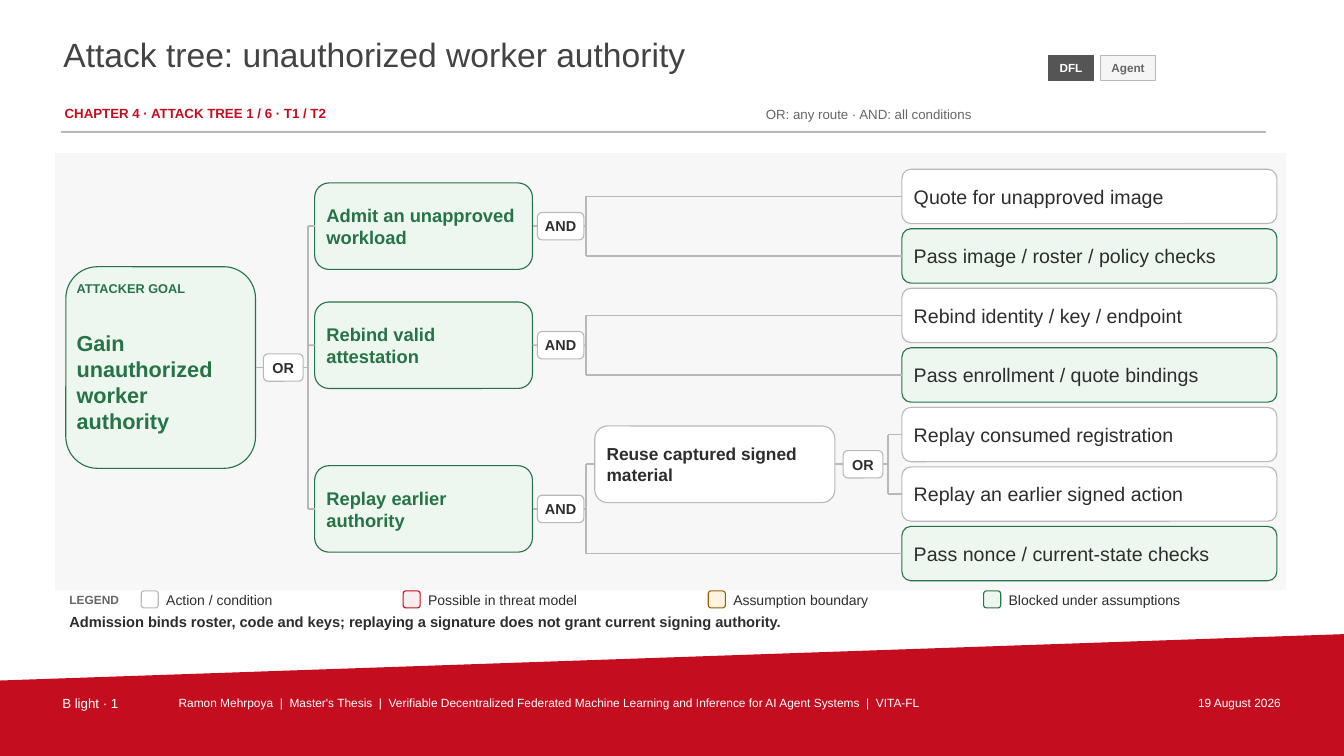
from pptx import Presentation
from pptx import util as u
from pptx.dml.color import RGBColor
from pptx.enum import shapes, text
from pptx.oxml.ns import qn
from lxml import etree

INK = {
    "red": "C40D1E", "title": "434343", "text": "2D2D2D", "mute": "666666",
    "line": "B8B8B8", "white": "FFFFFF", "panel": "F7F7F7", "dark": "555555",
    "tag": "F5F5F5", "green": "267347", "mint": "EDF7EF", "rose": "FBECEF",
    "brown": "94600B", "cream": "FFF4DF",
}
KINDS = {
    "open": ("white", "line"), "risk": ("rose", "red"),
    "bound": ("cream", "brown"), "block": ("mint", "green"),
}
RECT = shapes.MSO_SHAPE.RECTANGLE
ROUND = shapes.MSO_SHAPE.ROUNDED_RECTANGLE
TOP, MID = text.MSO_ANCHOR.TOP, text.MSO_ANCHOR.MIDDLE
LEFT, CENTER, RIGHT = text.PP_ALIGN.LEFT, text.PP_ALIGN.CENTER, text.PP_ALIGN.RIGHT


def hue(name):
    return RGBColor.from_string(INK[name])


def write(shape, words, size, color, bold=False, align=LEFT, anchor=MID, pad=0):
    frame = shape.text_frame
    frame.word_wrap = True
    frame.vertical_anchor = anchor
    frame.margin_left = frame.margin_right = u.Cm(pad)
    frame.margin_top = frame.margin_bottom = 0
    para = frame.paragraphs[0]
    para.text = words
    para.alignment = align
    font = para.font
    font.name, font.size, font.bold = "Arial", u.Pt(size), bold
    font.color.rgb = hue(color)


def label(page, box, words, size, color, **style):
    write(page.shapes.add_textbox(*map(u.Cm, box)), words, size, color, **style)


def block(page, form, box, fill, edge, width=0.8):
    shape = page.shapes.add_shape(form, *map(u.Cm, box))
    shape.shadow.inherit = False
    shape.fill.solid()
    shape.fill.fore_color.rgb = hue(fill)
    shape.line.color.rgb = hue(edge)
    shape.line.width = u.Pt(width)
    return shape


def wire(page, x1, y1, x2, y2, start=None, end=None):
    line = page.shapes.add_connector(
        shapes.MSO_CONNECTOR.STRAIGHT, *map(u.Cm, (x1, y1, x2, y2)))
    if start is not None:
        line.begin_connect(start, 3)
    if end is not None:
        line.end_connect(end, 1)
    line.line.color.rgb = hue("line")
    line.line.width = u.Pt(1.25)
    etree.SubElement(line._element.spPr, qn("a:effectLst"))


def node(page, box, kind, words, size, color, bold):
    x, mid, w, h = box
    shape = block(page, ROUND, (x, mid - h / 2, w, h), *KINDS[kind])
    if words:
        write(shape, words, size, color, bold=bold, pad=0.3 - 0.05 * h)
    return shape, x, mid, x + w


def fork(page, root, gate, bus, kids):
    shape, _, mid, right = root
    wire(page, right, mid, bus, mid, start=shape)
    wire(page, bus, kids[0][2], bus, kids[-1][2])
    for kid, left, level, _ in kids:
        wire(page, bus, level, left, level, end=kid)
    w, h = {"AND": 1.17, "OR": 1}[gate], 0.69
    pill = block(page, ROUND, (bus - 0.63 - w / 2, mid - h / 2, w, h), "white", "line")
    write(pill, gate, 10.3, "text", bold=True, align=CENTER)


def header(page, x, y, w):
    label(page, (x, y, 24.4, 1.4), "Attack tree: unauthorized worker authority",
          24, "title", anchor=TOP)
    label(page, (x + 0.03, y + 1.78, 17.2, 0.46),
          "CHAPTER 4 · ATTACK TREE 1 / 6 · T1 / T2", 9.5, "red", bold=True, anchor=TOP)
    label(page, (x + 17.7, y + 1.73, 9.63, 0.56),
          "OR: any route · AND: all conditions", 9.5, "mute")
    block(page, RECT, (x - 0.05, y + 2.44, w, 0.04), "line", "line", 0.5)
    for left, wide, words, fill, edge, color in (
            (24.82, 1.14, "DFL", "dark", "dark", "white"),
            (26.13, 1.4, "Agent", "tag", "line", "mute")):
        tag = block(page, RECT, (x + left, y + 0.53, wide, 0.64), fill, edge, 0.55)
        write(tag, words, 8.4, color, bold=True, align=CENTER)


def tree(page, x, y, w, h):
    block(page, RECT, (x, y, w, h), "panel", "panel", 0.5)
    step = 1.5
    leaves = [
        node(page, (x + 21.33, y + 1.09 + row * step, 9.45, 1.37),
             kind, words, 14, "text", False)
        for row, (kind, words) in enumerate((
            ("open", "Quote for unapproved image"),
            ("block", "Pass image / roster / policy checks"),
            ("open", "Rebind identity / key / endpoint"),
            ("block", "Pass enrollment / quote bindings"),
            ("open", "Replay consumed registration"),
            ("open", "Replay an earlier signed action"),
            ("block", "Pass nonce / current-state checks")))]

    def middle(kids):
        return (kids[0][2] + kids[-1][2]) / 2

    reuse = node(page, (x + 13.59, middle(leaves[4:6]), 6.05, 1.93), "open",
                 "Reuse captured signed material", 12.4, "text", True)
    fork(page, reuse, "OR", x + 20.98, leaves[4:6])

    routes = []
    for words, kids in (("Admit an unapproved workload", leaves[:2]),
                        ("Rebind valid attestation", leaves[2:4]),
                        ("Replay earlier authority", [reuse, leaves[6]])):
        route = node(page, (x + 6.53, middle(kids), 5.49, 2.18), "block",
                     words, 13.1, "green", True)
        fork(page, route, "AND", x + 13.36, kids)
        routes.append(route)

    mid = middle(routes)
    goal = node(page, (x + 0.26, mid, 4.78, 5.08), "block", "", 0, "green", True)
    fork(page, goal, "OR", x + 6.37, routes)
    label(page, (x + 0.53, mid - 2.26, 4.22, 0.51), "ATTACKER GOAL",
          9.1, "green", bold=True)
    label(page, (x + 0.53, mid - 1.56, 4.22, 3.86),
          "Gain unauthorized worker authority", 15.5, "green", bold=True)


def legend(page, x, y, w):
    label(page, (x, y, 1.63, 0.56), "LEGEND", 8.5, "mute", bold=True)
    for left, kind, words in ((1.81, "open", "Action / condition"),
                              (8.41, "risk", "Possible in threat model"),
                              (16.1, "bound", "Assumption boundary"),
                              (23.04, "block", "Blocked under assumptions")):
        block(page, ROUND, (x + left, y + 0.06, 0.43, 0.43), *KINDS[kind])
        label(page, (x + left + 0.63, y, 6, 0.56), words, 10, "text")
    label(page, (x, y + 0.56, w, 0.53),
          "Admission binds roster, code and keys; replaying a signature "
          "does not grant current signing authority.", 10.5, "text", bold=True)


def footer(page, x, y, w, h):
    left, right, low = u.Cm(x), u.Cm(x + w), u.Cm(y + h)
    form = page.shapes.build_freeform(left, u.Cm(y + 1.17))
    form.add_line_segments([(right, u.Cm(y)), (right, low), (left, low)], close=True)
    band = form.convert_to_shape()
    band.shadow.inherit = False
    band.fill.solid()
    band.fill.fore_color.rgb = hue("red")
    band.line.fill.background()
    for start, wide, words, size, align in (
            (1.57, 2.7, "B light · 1", 9.5, LEFT),
            (4.5, 23.6, "Ramon Mehrpoya  |  Master's Thesis  |  Verifiable Decentralized "
             "Federated Machine Learning and Inference for AI Agent Systems  |  VITA-FL",
             8.5, LEFT),
            (28.5, 3.78, "19 August 2026", 8.5, RIGHT)):
        label(page, (x + start, y + 1.55, wide, 0.46), words, size, "white",
              align=align, anchor=TOP)


def main():
    deck = Presentation()
    deck.slide_width, deck.slide_height = u.Cm(33.87), u.Cm(19.05)
    page = deck.slides.add_slide(deck.slide_layouts[6])
    footer(page, 0, 15.98, 33.87, 3.07)
    header(page, 1.6, 0.86, 30.35)
    tree(page, 1.4, 3.86, 30.99, 11)
    legend(page, 1.75, 14.83, 30.38)
    deck.save("out.pptx")


if __name__ == "__main__":
    main()
